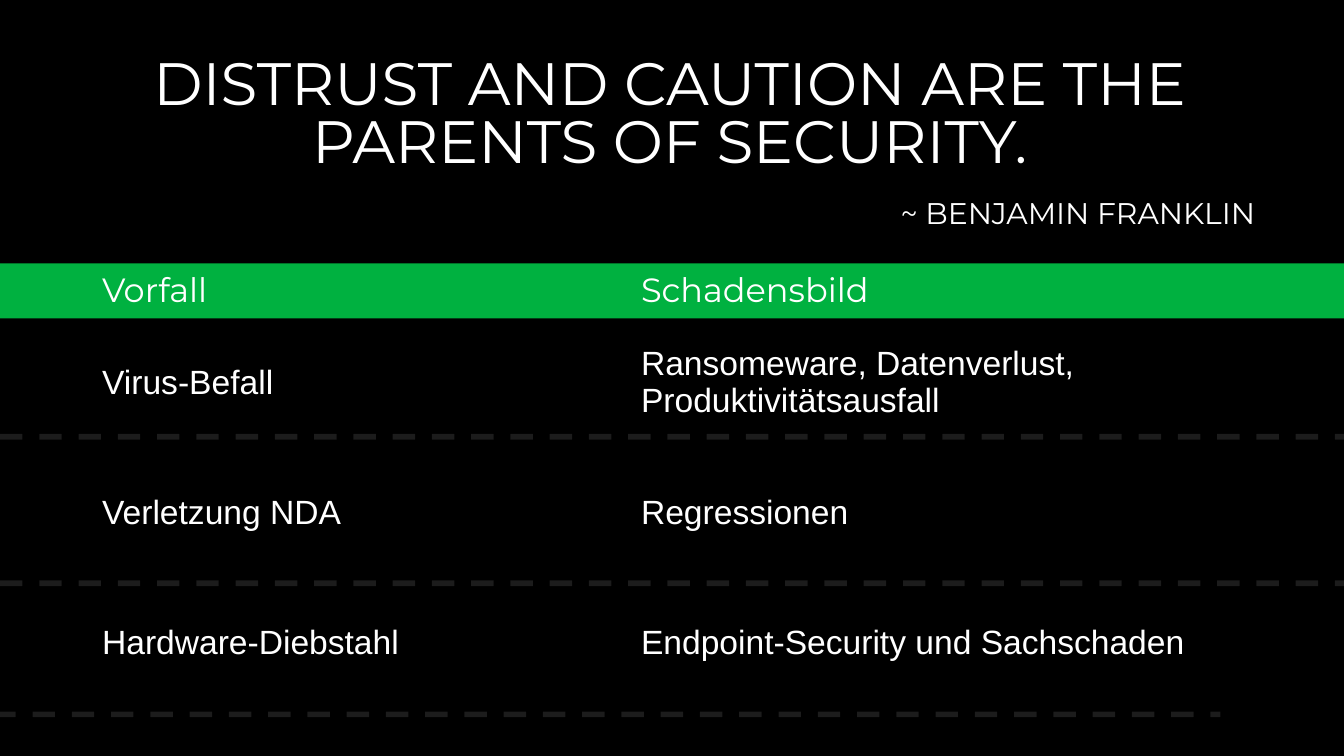
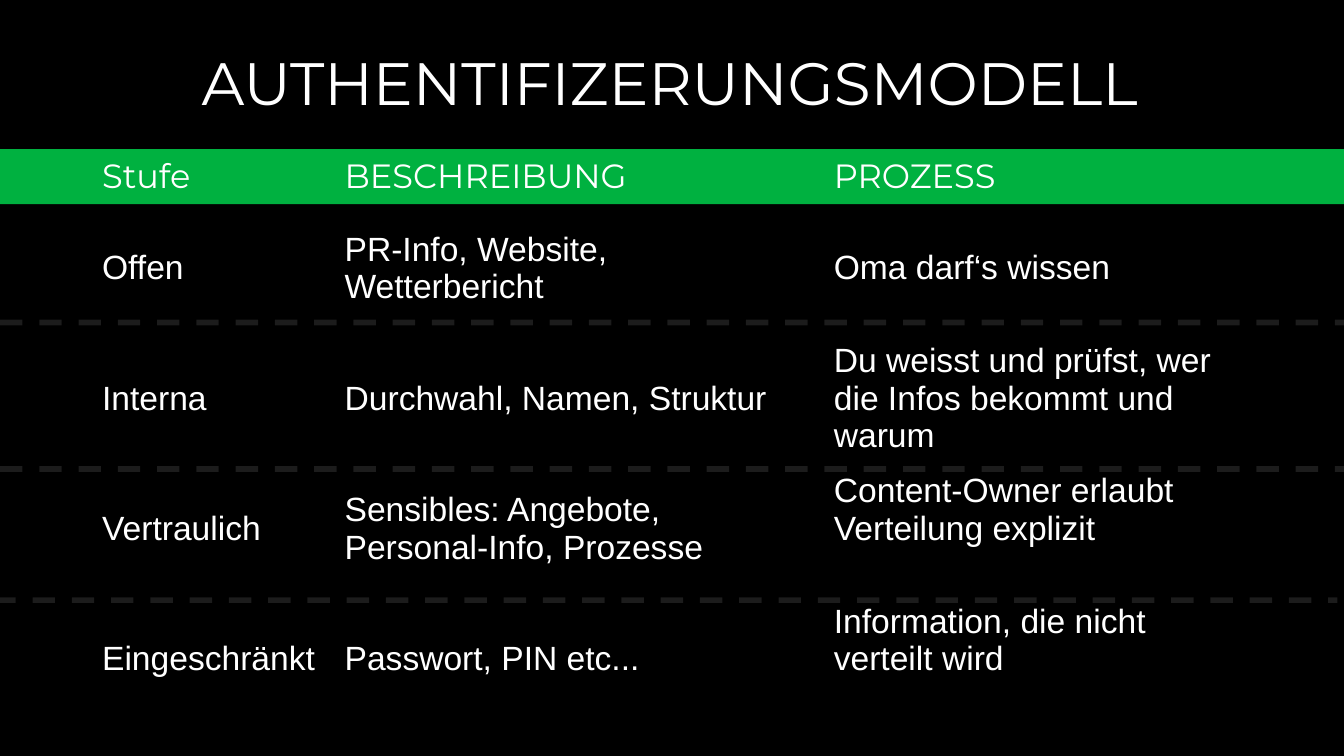
from lxml import etree
from pptx import Presentation
from pptx.dml.color import RGBColor
from pptx.enum.dml import MSO_LINE
from pptx.enum.shapes import MSO_CONNECTOR, MSO_SHAPE
from pptx.enum.text import MSO_ANCHOR, PP_ALIGN
from pptx.oxml.ns import qn
from pptx.util import Pt

PX = 4572
SLIDE_WIDTH, SLIDE_HEIGHT = 2000, 1125
TITLE_LEFT, TITLE_WIDTH = 126, 1742
TABLE_LEFT = 132
BAND_HEIGHT, HEADER_HEIGHT, ROW_HEIGHT = 82, 74, 194
DIVIDER_OFFSETS = (258, 476, 671)
BODY_MARGIN, LIFT = 6, 56
BLACK, WHITE, GREEN = "000000", "FFFFFF", "00B140"
HEADING_FONT, BODY_FONT = "Montserrat", "Arial"
NO_TABLE_STYLE = "{2D5ABB26-0587-4C30-8999-92F81FD0307C}"
DASH = MSO_LINE.DASH
STRAIGHT = MSO_CONNECTOR.STRAIGHT
RECTANGLE = MSO_SHAPE.RECTANGLE
TOP, MIDDLE = MSO_ANCHOR.TOP, MSO_ANCHOR.MIDDLE
LEFT, CENTER, RIGHT = PP_ALIGN.LEFT, PP_ALIGN.CENTER, PP_ALIGN.RIGHT


def px(*lengths):
    return [length * PX for length in lengths]


def color(value):
    return RGBColor.from_string(value)


def write(frame, text, size=18, font=BODY_FONT, align=LEFT, spacing=None, before=None):
    paragraph = frame.paragraphs[0]
    paragraph.alignment = align
    if spacing is not None:
        paragraph.line_spacing = spacing
    if before is not None:
        paragraph.space_before = Pt(before)
    run = paragraph.add_run()
    run.text = text
    run.font.size = Pt(size)
    run.font.name = font
    run.font.color.rgb = color(WHITE)


class Deck:
    def __init__(self):
        self.presentation = Presentation()
        self.presentation.slide_width, self.presentation.slide_height = px(SLIDE_WIDTH, SLIDE_HEIGHT)
        self.slide = None

    def add_slide(self, title):
        self.slide = self.presentation.slides.add_slide(self.presentation.slide_layouts[6])
        self.slide.background.fill.solid()
        self.slide.background.fill.fore_color.rgb = color(BLACK)
        self.text(title, 89, 58, size=32, align=CENTER, spacing=0.8)

    def text(self, text, top, height, anchor=TOP, **style):
        box = self.slide.shapes.add_textbox(*px(TITLE_LEFT, top, TITLE_WIDTH, height))
        frame = box.text_frame
        frame.word_wrap = True
        frame.vertical_anchor = anchor
        frame.margin_left = frame.margin_right = frame.margin_top = frame.margin_bottom = 0
        write(frame, text, font=HEADING_FONT, **style)

    def band(self, top):
        shape = self.slide.shapes.add_shape(RECTANGLE, *px(0, top, SLIDE_WIDTH, BAND_HEIGHT))
        shape.shadow.inherit = False
        shape.fill.solid()
        shape.fill.fore_color.rgb = color(GREEN)
        shape.line.fill.background()

    def divider(self, y, start=0, end=SLIDE_WIDTH):
        connector = self.slide.shapes.add_connector(STRAIGHT, *px(start, y, end, y))
        connector.line.width = Pt(3)
        connector.line.dash_style = DASH
        connector.line.color.rgb = color(WHITE)
        properties = connector._element.spPr
        tint = next(properties.iter(qn("a:srgbClr")))
        etree.SubElement(tint, qn("a:alpha")).set("val", "11000")
        etree.SubElement(properties, qn("a:effectLst"))

    def table(self, top, height, widths, rows, lifted):
        frame = self.slide.shapes.add_table(
            len(rows), len(widths), *px(TABLE_LEFT, top, sum(widths), height))
        table = frame.table
        table.first_row = table.horz_banding = False
        next(table._tbl.iter(qn("a:tableStyleId"))).text = NO_TABLE_STYLE
        for column, width in zip(table.columns, widths):
            column.width = width * PX
        for row_index, texts in enumerate(rows):
            table.rows[row_index].height = (ROW_HEIGHT if row_index else HEADER_HEIGHT) * PX
            for column_index, text in enumerate(texts):
                cell = table.cell(row_index, column_index)
                cell.fill.background()
                cell.vertical_anchor = MIDDLE
                if row_index:
                    lift = LIFT if (row_index, column_index) in lifted else 0
                    cell.margin_top, cell.margin_bottom = px(BODY_MARGIN, BODY_MARGIN + lift)
                write(cell.text_frame, text, font=BODY_FONT if row_index else HEADING_FONT)
        frame.height = height * PX

    def banded_table(self, top, height, widths, rows, last_end, lifted=()):
        self.band(top)
        self.table(top, height, widths, rows, lifted)
        *full_width, last = DIVIDER_OFFSETS
        for offset in full_width:
            self.divider(top + offset)
        self.divider(top + last, -10, last_end)


def main():
    deck = Deck()

    deck.add_slide("DISTRUST AND CAUTION ARE THE PARENTS OF SECURITY.")
    deck.text("~ BENJAMIN FRANKLIN", 280, 72, anchor=MIDDLE, size=16, align=RIGHT, before=6)
    deck.banded_table(392, 662, (802, 934), (
        ("Vorfall", "Schadensbild"),
        ("Virus-Befall", "Ransomeware, Datenverlust, Produktivitätsausfall"),
        ("Verletzung NDA", "Regressionen"),
        ("Hardware-Diebstahl", "Endpoint-Security und Sachschaden"),
    ), last_end=1816)

    deck.add_slide("AUTHENTIFIZERUNGSMODELL")
    deck.banded_table(222, 874, (361, 728, 647), (
        ("Stufe", "BESCHREIBUNG", "PROZESS"),
        ("Offen", "PR-Info, Website, Wetterbericht", "Oma darf‘s wissen"),
        ("Interna", "Durchwahl, Namen, Struktur",
         "Du weisst und prüfst, wer die Infos bekommt und warum"),
        ("Vertraulich", "Sensibles: Angebote, Personal-Info, Prozesse",
         "Content-Owner erlaubt Verteilung explizit"),
        ("Eingeschränkt", "Passwort, PIN etc...", "Information, die nicht verteilt wird"),
    ), last_end=1990, lifted=((3, 2), (4, 2)))

    deck.presentation.save("out.pptx")


if __name__ == "__main__":
    main()
